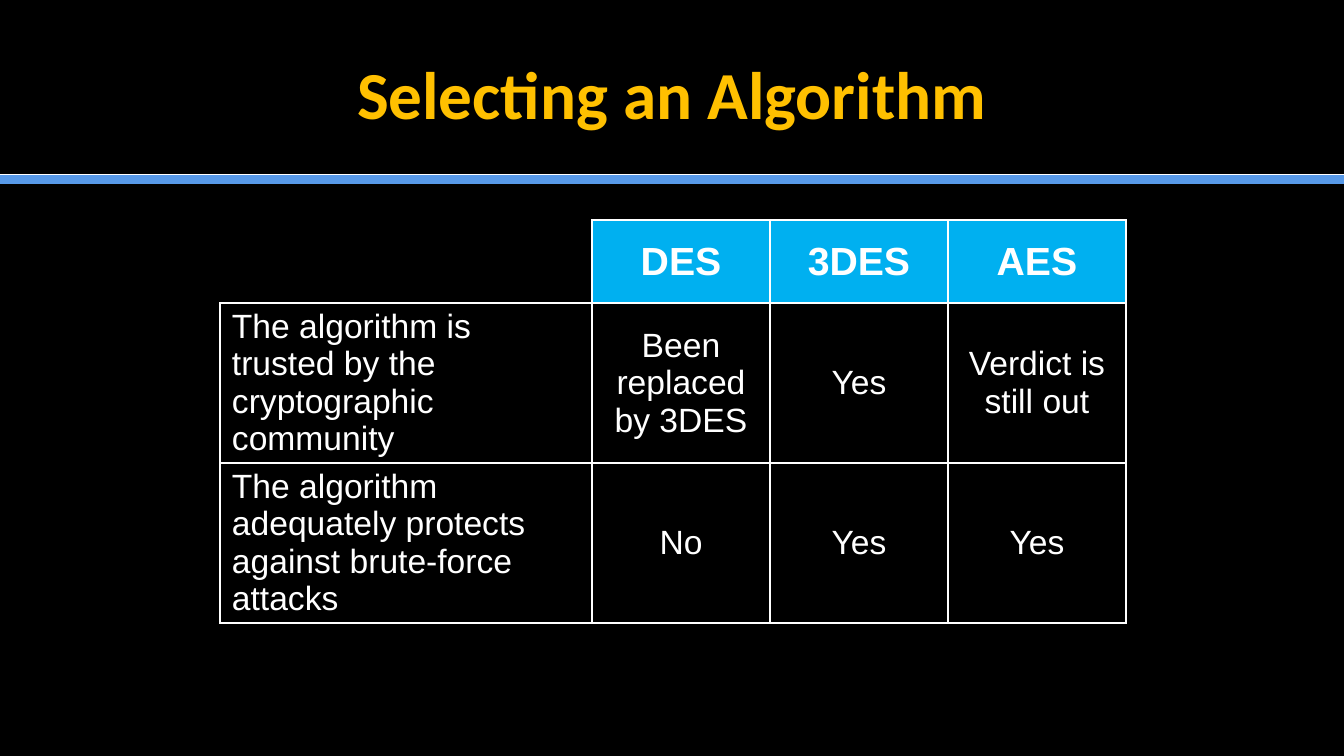
from lxml import etree
from pptx import Presentation
from pptx import util as u
from pptx.dml.color import RGBColor
from pptx.enum import shapes, text
from pptx.oxml import ns

BLACK = RGBColor(0x00, 0x00, 0x00)
WHITE = RGBColor(0xFF, 0xFF, 0xFF)
GOLD = RGBColor(0xFF, 0xC0, 0x00)
RULE_BLUE = RGBColor(0x57, 0x99, 0xE8)
HEADER_BLUE = RGBColor(0x00, 0xB0, 0xF0)

PX = 914400 / 100.8
WIDTH, HEIGHT = 1344, 756


def px(length):
    return u.Emu(round(length * PX))


class SlideBuilder:
    title_font = "Calibri"
    body_font = "Arial"

    def __init__(self, slide):
        self.slide = slide
        slide.background.fill.solid()
        slide.background.fill.fore_color.rgb = BLACK

    def add_words(self, frame, words, font, size, color, bold, align):
        paragraph = frame.paragraphs[0]
        paragraph.alignment = align
        run = paragraph.add_run()
        run.text = words
        run.font.name, run.font.size = font, u.Pt(size)
        run.font.bold, run.font.color.rgb = bold, color

    def title(self, words, left, top, width, height):
        heading = self.slide.shapes.title
        heading.left, heading.top = px(left), px(top)
        heading.width, heading.height = px(width), px(height)
        heading.text_frame.vertical_anchor = text.MSO_ANCHOR.MIDDLE
        self.add_words(heading.text_frame, words, self.title_font, 48, GOLD,
                       True, text.PP_ALIGN.CENTER)

    def rule(self, y, color, weight):
        rule = self.slide.shapes.add_connector(
            shapes.MSO_CONNECTOR.STRAIGHT, 0, px(y), px(WIDTH), px(y))
        rule.line.color.rgb = color
        rule.line.width = u.Pt(weight)
        etree.SubElement(rule._element.spPr, ns.qn("a:effectLst"))

    def borders(self, cell, visible):
        properties = cell._tc.get_or_add_tcPr()
        for place, side in enumerate("LRTB"):
            edge = etree.Element(ns.qn(f"a:ln{side}"), w=str(u.Pt(1)))
            if side in visible:
                fill = etree.SubElement(edge, ns.qn("a:solidFill"))
                etree.SubElement(fill, ns.qn("a:srgbClr"), val=str(WHITE))
            else:
                etree.SubElement(edge, ns.qn("a:noFill"))
            properties.insert(place, edge)

    def cell(self, cell, words, is_header, is_criterion):
        cell.vertical_anchor = text.MSO_ANCHOR.MIDDLE
        cell.margin_left = cell.margin_right = px(12)
        cell.margin_top = cell.margin_bottom = px(5)
        if is_header and words:
            cell.fill.solid()
            cell.fill.fore_color.rgb = HEADER_BLUE
        else:
            cell.fill.background()
        self.borders(cell, "LRTB" if words else "RB")
        if words:
            align = text.PP_ALIGN.LEFT if is_criterion else text.PP_ALIGN.CENTER
            self.add_words(cell.text_frame, words, self.body_font,
                           28 if is_header else 24, WHITE, is_header, align)

    def table(self, rows, left, top, widths, heights):
        table = self.slide.shapes.add_table(
            len(heights), len(widths), px(left), px(top),
            px(sum(widths)), px(sum(heights))).table
        table.first_row = table.horz_banding = False
        for column, width in zip(table.columns, widths):
            column.width = px(width)
        for row, height in zip(table.rows, heights):
            row.height = px(height)
        for r, row in enumerate(rows):
            for c, words in enumerate(row):
                self.cell(table.cell(r, c), words, r == 0, c == 0)


def main():
    deck = Presentation()
    deck.slide_width, deck.slide_height = px(WIDTH), px(HEIGHT)
    builder = SlideBuilder(deck.slides.add_slide(deck.slide_layouts[5]))

    # Double rule under the title
    builder.rule(179, RULE_BLUE, 7)
    builder.rule(174, WHITE, 0.5)

    # Title
    builder.title("Selecting an Algorithm", 67, 30, 1210, 126)

    # Comparison of the algorithms
    comparison = [
        ["", "DES", "3DES", "AES"],
        ["The algorithm is trusted by the cryptographic community",
         "Been replaced by 3DES", "Yes", "Verdict is still out"],
        ["The algorithm adequately protects against brute-force attacks",
         "No", "Yes", "Yes"],
    ]
    builder.table(comparison, 220, 220, [372] + [178] * 3, [83, 160, 160])

    deck.save("out.pptx")


if __name__ == "__main__":
    main()
